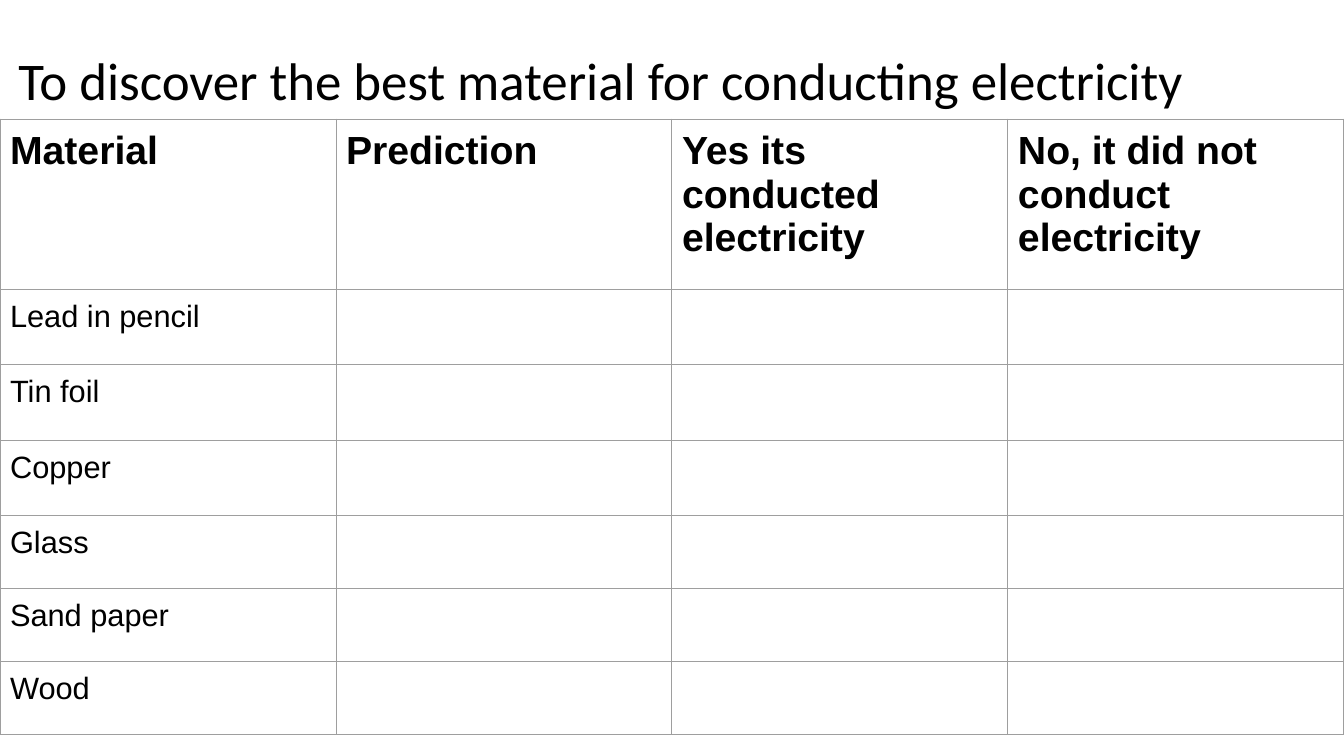
from lxml.etree import SubElement
from pptx import Presentation
from pptx.dml.color import RGBColor
from pptx.enum.text import MSO_ANCHOR
from pptx.oxml.ns import qn
from pptx.util import Pt

PAGE_WIDTH, PAGE_HEIGHT = 960, 540
BLACK, WHITE, GREY = "000000", "FFFFFF", "9E9E9E"
HEADINGS = ["Material", "Prediction", "Yes its conducted electricity",
            "No, it did not conduct electricity"]
MATERIALS = ["Lead in pencil", "Tin foil", "Copper", "Glass", "Sand paper", "Wood"]
ROW_HEIGHTS = [121.5] + [54] * 3 + [52] * 3


def color(value):
    return RGBColor.from_string(value)


def set_font(paragraph, name, size, bold=False):
    font = paragraph.font
    font.name, font.size, font.bold = name, Pt(size), bold
    font.color.rgb = color(BLACK)


def add_title(page, text):
    box = page.shapes.add_textbox(Pt(6), Pt(34), Pt(954), Pt(51))
    frame = box.text_frame
    frame.word_wrap = True
    frame.vertical_anchor = MSO_ANCHOR.MIDDLE
    paragraph = frame.paragraphs[0]
    paragraph.text = text
    paragraph.line_spacing = 0.9
    set_font(paragraph, "Calibri", 37.8)


def set_borders(cell, value, width):
    """Draw all four sides; call before filling, as lines precede the fill in XML."""
    properties = cell._tc.get_or_add_tcPr()
    for side in ("a:lnL", "a:lnR", "a:lnT", "a:lnB"):
        line = SubElement(properties, qn(side), w=str(Pt(width)))
        fill = SubElement(line, qn("a:solidFill"))
        SubElement(fill, qn("a:srgbClr"), val=value)


def style_cell(cell, size, bold):
    set_borders(cell, GREY, 0.75)
    cell.fill.solid()
    cell.fill.fore_color.rgb = color(WHITE)
    cell.margin_left = cell.margin_right = Pt(7.2)
    cell.margin_top = cell.margin_bottom = Pt(7.2)
    set_font(cell.text_frame.paragraphs[0], "Arial", size, bold)


def add_results_table(page, top):
    rows = [HEADINGS] + [[material, "", "", ""] for material in MATERIALS]
    table = page.shapes.add_table(len(rows), len(HEADINGS), Pt(0), Pt(top),
                                  Pt(PAGE_WIDTH), Pt(sum(ROW_HEIGHTS))).table
    table.horz_banding = False
    for row, height in zip(table.rows, ROW_HEIGHTS):
        row.height = Pt(height)
    for row_index, texts in enumerate(rows):
        is_heading = row_index == 0
        for column_index, text in enumerate(texts):
            cell = table.cell(row_index, column_index)
            cell.text = text
            style_cell(cell, 28 if is_heading else 22, is_heading)


def main():
    deck = Presentation()
    deck.slide_width, deck.slide_height = Pt(PAGE_WIDTH), Pt(PAGE_HEIGHT)
    page = deck.slides.add_slide(deck.slide_layouts[6])
    add_title(page, "To discover the best material for conducting electricity")
    add_results_table(page, 85)
    deck.save("out.pptx")


if __name__ == "__main__":
    main()
